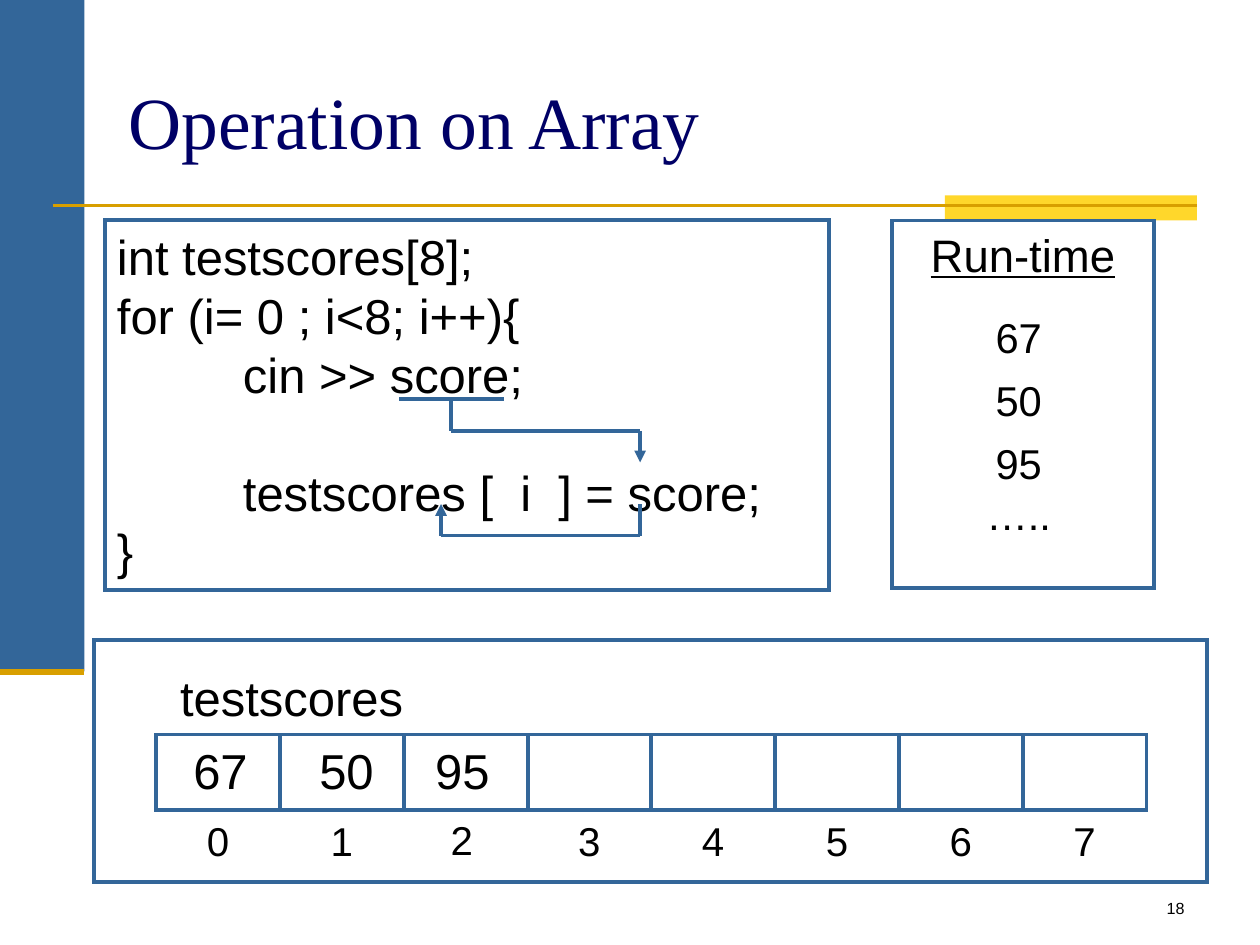
from lxml import etree
from pptx import Presentation
from pptx import util as u
from pptx.dml.color import RGBColor
from pptx.enum import shapes, text
from pptx.oxml.ns import qn

theme = {
    "blue": RGBColor.from_string("336699"),
    "gold": RGBColor.from_string("D89F00"),
    "sun": RGBColor.from_string("FFD72B"),
    "navy": RGBColor.from_string("000066"),
    "black": RGBColor.from_string("000000"),
    "sans": "Arial",
    "serif": "Times New Roman",
    "title": 42,
    "code": 28,
    "head": 26,
    "run": 23.8,
    "index": 23,
    "page": 9.2,
    "edge": 2.25,
}
left, mid, right = text.PP_ALIGN.LEFT, text.PP_ALIGN.CENTER, text.PP_ALIGN.RIGHT
top, centre = text.MSO_ANCHOR.TOP, text.MSO_ANCHOR.MIDDLE

deck = Presentation()
deck.slide_width, deck.slide_height = u.Inches(10), u.Inches(7.5)
slide = deck.slides.add_slide(deck.slide_layouts[6])
items = slide.shapes


def box(spot, fill=None, lines=(), size="code", align=left, anchor=top,
        font="sans", ink="black", frame=False, under=False):
    area = [u.Inches(n) for n in spot]
    if fill or frame:
        item = items.add_shape(shapes.MSO_SHAPE.RECTANGLE, *area)
        item.shadow.inherit = False
        if fill:
            item.fill.solid()
            item.fill.fore_color.rgb = theme[fill]
        else:
            item.fill.background()
        if frame:
            item.line.color.rgb = theme["blue"]
            item.line.width = u.Pt(theme["edge"])
            etree.SubElement(item.line._get_or_add_ln(), qn("a:miter"), lim="800000")
        else:
            item.line.fill.background()
    else:
        item = items.add_textbox(*area)
    body = item.text_frame
    body.word_wrap = True
    body.vertical_anchor = anchor
    for n, words in enumerate(lines):
        para = body.add_paragraph() if n else body.paragraphs[0]
        para.alignment = align
        run = para.add_run()
        run.text = words
        run.font.size = u.Pt(theme[size])
        run.font.name = theme[font]
        run.font.color.rgb = theme[ink]
        if under:
            run.font.underline = True
    return item


def line(ends, ink="blue", width=theme["edge"], arrow=False):
    item = items.add_connector(shapes.MSO_CONNECTOR.STRAIGHT, *[u.Inches(n) for n in ends])
    item.line.color.rgb = theme[ink]
    item.line.width = u.Pt(width)
    if arrow:
        etree.SubElement(item.line._get_or_add_ln(), qn("a:tailEnd"), type="triangle")
    etree.SubElement(item._element.spPr, qn("a:effectLst"))


box((0, 0, 0.67, 5.33), fill="blue")
box((7.5, 1.55, 2, 0.2), fill="sun")
line((0.42, 1.63, 9.5, 1.63), "gold", 1.5)
line((0, 5.33, 0.67, 5.33), "gold", 3.5)
box((0.92, 0.33, 8.33, 1.25), lines=["Operation on Array"], size="title",
    anchor=centre, font="serif", ink="navy")

code = box((0.83, 1.75, 5.75, 2.93), frame=True, lines=[
    "int testscores[8];",
    "for (i= 0 ; i<8; i++){",
    "cin >> score;",
    "testscores [  i  ] = score;",
    "}",
])
rows = code.text_frame.paragraphs
for row in rows[2:4]:
    row._p.get_or_add_pPr().set("marL", str(u.Inches(1)))
rows[2].space_after = u.Pt(33.7)

for ends in [
    (3.17, 3.17, 4, 3.17),
    (3.58, 3.17, 3.58, 3.42),
    (3.58, 3.42, 5.08, 3.42),
    (5.08, 4, 5.08, 4.25),
    (3.5, 4.25, 5.08, 4.25),
]:
    line(ends)
line((5.08, 3.42, 5.08, 3.67), arrow=True)
line((3.5, 4.25, 3.5, 4), arrow=True)

box((7.08, 1.75, 2.08, 2.92), frame=True, lines=["Run-time"], size="head",
    align=mid, under=True)
for y, word in zip((2.42, 2.92, 3.42, 3.83), ("67", "50", "95", "…..")):
    box((7.5, y, 1.17, 0.5), lines=[word], size="run", align=mid, anchor=centre)

box((0.75, 5.08, 8.83, 1.92), frame=True)
box((1.25, 5.25, 2.13, 0.57), lines=["testscores"], align=mid)
count = 8
pitch = 7.86 / count
for n in range(count):
    x = 1.24 + n * pitch
    box((x, 5.83, pitch, 0.6), frame=True)
    dx, dy = (-0.03, -0.01) if n == 2 else (0, 0)
    box((x + 0.08 + dx, 6.43 + dy, 0.82, 0.48), lines=[str(n)], size="index", align=mid)
for x, word in zip((1.25, 2.25, 3.17), ("67", "50", "95")):
    box((x, 5.83, 1, 0.57), lines=[word], align=mid)

box((7.42, 7.08, 2.08, 0.25), lines=["18"], size="page", align=right)

deck.save("out.pptx")
